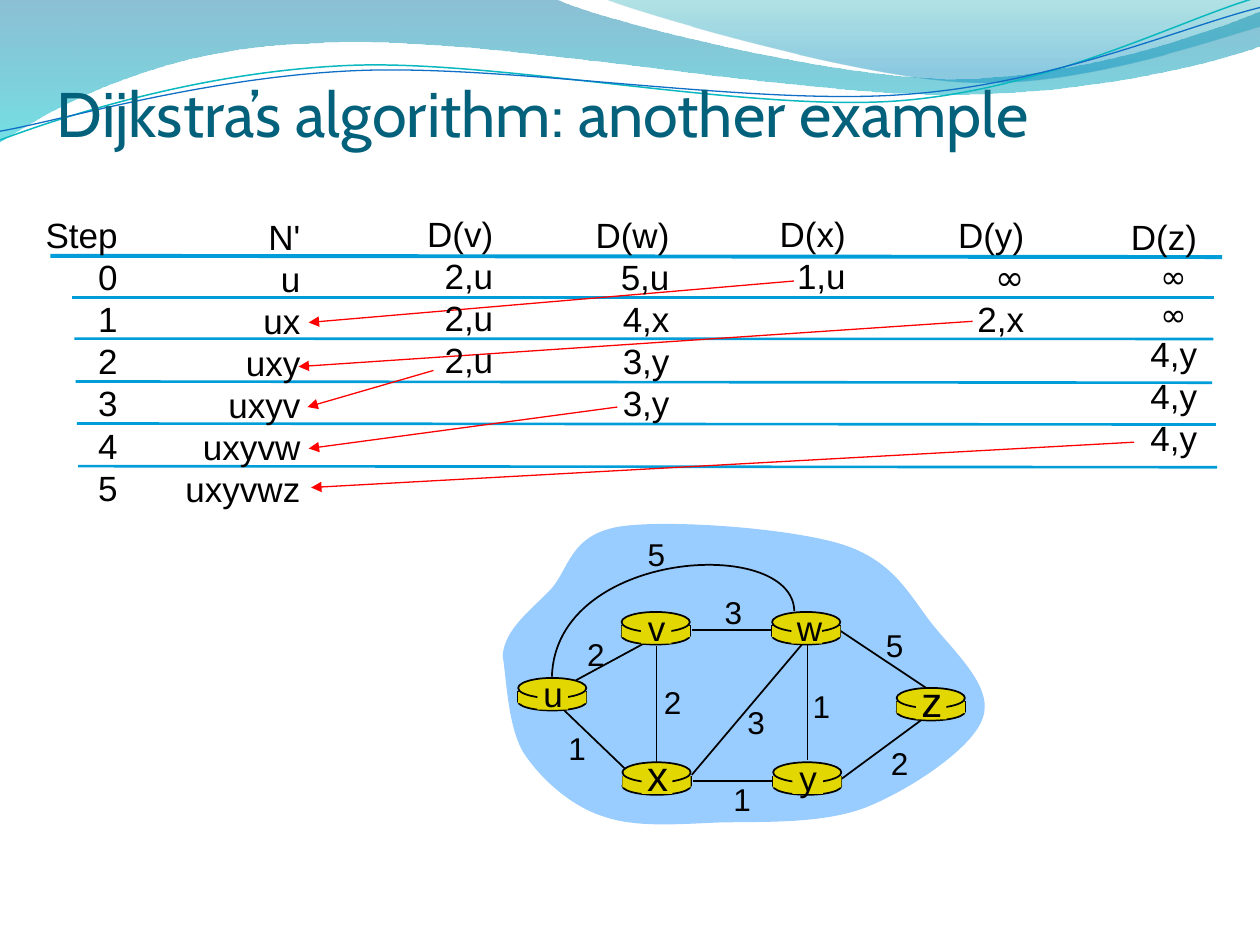
from pptx import Presentation
from pptx.dml.color import RGBColor
from pptx.enum.shapes import MSO_CONNECTOR as Link, MSO_SHAPE as Kind
from pptx.enum.text import MSO_ANCHOR as Anchor, MSO_AUTO_SIZE as Fit, PP_ALIGN as Align
from pptx.oxml.ns import qn
from pptx.util import Pt
from lxml.etree import SubElement

hue = RGBColor.from_string


def write(box, text, size=20, face="Arial", tint="000000", align=Align.LEFT, marks={}):
    frame = box.text_frame
    frame.text = text
    for row, para in enumerate(frame.paragraphs):
        high = marks.get(row, size)
        para.alignment = align
        para.line_spacing = Pt(1.2 * high)
        font = para.runs[0].font
        font.size = Pt(high)
        font.name = "Comic Neue" if row in marks else face
        font.color.rgb = hue(tint)


def trace(start, steps, close=False):
    pairs = [list(zip(step[::2], step[1::2])) for step in steps]
    pen = slide.shapes.build_freeform(Pt(start[0]), Pt(start[1]), scale=1.0)
    pen.add_line_segments([(Pt(x), Pt(y)) for dots in pairs for x, y in dots], close=close)
    form = pen.convert_to_shape()
    route = form._element.find(".//" + qn("a:path"))
    for node in list(route):
        route.remove(node)
    for verb, dots in [("moveTo", [start])] + [
            ("cubicBezTo" if len(dots) == 3 else "lnTo", dots) for dots in pairs]:
        move = SubElement(route, qn("a:" + verb))
        for x, y in dots:
            dot = SubElement(move, qn("a:pt"))
            dot.set("x", str(Pt(x) - form.left))
            dot.set("y", str(Pt(y) - form.top))
    if close:
        SubElement(route, qn("a:close"))
    form.shadow.inherit = False
    (form.line.fill if close else form.fill).background()
    return form


deck = Presentation()
deck.slide_width, deck.slide_height = Pt(720), Pt(540)
slide = deck.slides.add_slide(deck.slide_layouts[5])
shapes = slide.shapes

waves = [
    ((-0.4, 0), [(317, -0.7), (343, 12, 478, 45, 546, 45), (614, 45, 690, 19, 720, 6.5),
                 (720.7, 26), (708, 32, 626, 55, 537, 54), (447, 54, 275, 20, 185, 24.5),
                 (93, 26, 33, 60, -0.7, 81.4)],
     [(0, "0074A1", 45), (1, "00C6CF", 55)]),
    ((344.9, -0.7), [(366.5, 8, 491, 44.6, 553.7, 46.8), (616.3, 49.7, 692, 23, 720, 15),
                     (720, 0)],
     [(0, "00A1A9", 30), (0.8, "008BBF", 45)]),
]
for start, steps, stops in waves:
    wave = trace(start, steps, close=True)
    wave.fill.gradient()
    wave.fill.gradient_angle = 270
    for stop, (place, tint, _) in zip(wave.fill.gradient_stops, stops):
        stop.position = place
        stop.color.rgb = hue(tint)
    tints = wave.fill._xPr.iter(qn("a:srgbClr"))
    for node, (_, _, alpha) in zip(tints, stops):
        SubElement(node, qn("a:alpha")).set("val", str(alpha * 1000))

blob = trace((287.3, 375), [
    (288, 360, 303, 349, 314.6, 337), (325.5, 325, 325.5, 306, 353.5, 301),
    (381, 296.6, 451, 301.7, 481, 311), (511, 320.4, 520, 340.6, 533, 357),
    (546.5, 373.7, 568, 393, 561.6, 410.4), (555.8, 427.7, 520, 451.4, 494.6, 461.5),
    (469.4, 471, 436.3, 469.4, 411, 470), (386.6, 471, 363.6, 473, 345, 466.6),
    (326.9, 461, 309.6, 445.7, 299.5, 430.6), (290, 415.4, 289.4, 386.6, 287.3, 375)],
    close=True)
blob.fill.solid()
blob.fill.fore_color.rgb = hue("99CCFF")

curves = [
    ((-1.4, 63.1), [(33.8, 51.7, 114.1, 29.4, 199.8, 29.9), (284.9, 30.3, 425.8, 67.3, 512.4, 64.9),
                    (599, 62.4, 676.5, 25.7, 720.2, 15.5)], "0AB8BF", 0.85, 357.3),
    ((-1.1, 58), [(32.9, 53.8, 118.3, 32.5, 204.1, 33), (290.6, 33.4, 428.9, 63.8, 515.5, 61.4),
                  (601.3, 59.6, 677.1, 30, 721.4, 21.3)], "0F6FC6", 0.75, 357.3),
    ((453.9, 349.2), [(453, 306, 317.5, 313.9, 315.4, 386.6)], "000000", 1, 0),
]
for start, steps, tint, thick, turn in curves:
    curve = trace(start, steps)
    curve.line.color.rgb = hue(tint)
    curve.line.width = Pt(thick)
    curve.rotation = turn

title = shapes.title
shapes._spTree.append(title._element)
title.left, title.top, title.width, title.height = Pt(32.4), Pt(10.4), Pt(658.8), Pt(75.6)
frame = title.text_frame
frame.margin_left = frame.margin_right = frame.margin_bottom = 0
frame.margin_top = Pt(3.6)
frame.vertical_anchor = Anchor.BOTTOM
frame.auto_size = Fit.NONE
write(title, "Dijkstra’s algorithm: another example", size=36, face="Cabin", tint="04617B")
frame.paragraphs[0].runs[0].font._rPr.set("kern", "0")

nodes = [("u", 296.1, 387.4, 20), ("x", 355.7, 435.6, 24), ("v", 355.2, 349.7, 20),
         ("w", 441.2, 349.7, 20), ("y", 441.8, 435.6, 20), ("z", 512.4, 393.1, 24)]
rules = [(41, 170, 694, 170), (42.5, 193.5, 693.4, 193.7), (43.2, 218, 692.6, 218.7),
         (43.9, 242, 694.8, 242.6), (44.6, 266.4, 695.5, 267)]
edges = [
    (329, 388.8, 371.5, 365.8), (461.5, 368.6, 461.5, 434.2), (375.1, 369.4, 375.1, 437),
    (395.3, 442.8, 458.6, 367.9), (481, 445, 527, 411.1), (396, 446.4, 442.1, 446.4),
    (357.1, 439.2, 322.6, 406.1), (395.3, 360, 441.4, 360), (479.5, 360, 529.2, 393.1)]
sides = [(x + dx, y + 7.7, x + dx, y + 13.7) for _, x, y, _ in nodes for dx in (0, 39)]
picks = [(453.6, 160.6, 176.4, 184.3), (555.8, 183.6, 170.6, 209.5),
         (247.7, 211.7, 175.7, 232.6), (352.8, 232.6, 176.4, 256.3),
         (648, 252.7, 177.8, 278.6)]
for lines, tint, thick in [([(28.8, 146.2, 698.4, 146.9)], "009DD9", 2.25),
                           (rules, "009DD9", 1.5), (edges + sides, "000000", 1),
                           (picks, "FF0000", 0.75)]:
    for ends in lines:
        link = shapes.add_connector(Link.STRAIGHT, *map(Pt, ends))
        link.line.color.rgb = hue(tint)
        link.line.width = Pt(thick)
        if lines is picks:
            SubElement(link.line._get_or_add_ln(), qn("a:tailEnd")).set("type", "triangle")
        SubElement(link._element.spPr, qn("a:effectLst"))

parts = [(Kind.OVAL, 0, 8.6, 39, 10), (Kind.RECTANGLE, 0, 7.9, 39, 6.5),
         (Kind.OVAL, 0, 0, 39, 11.5), (Kind.RECTANGLE, 11, 1.6, 17.5, 16.5)]
for _, x, y, _ in nodes:
    for kind, dx, dy, wide, high in parts:
        part = shapes.add_shape(kind, Pt(x + dx), Pt(y + dy), Pt(wide), Pt(high))
        part.shadow.inherit = False
        part.fill.solid()
        part.fill.fore_color.rgb = hue("E2D700")
        if kind == Kind.OVAL:
            part.line.color.rgb = hue("000000")
            part.line.width = Pt(1)
        else:
            part.line.fill.background()

table = [
    ("Step|0|1|2|3|4|5", 19, 118.7, 55.4, {}),
    ("N'|u|ux|uxy|uxyv|uxyvw|uxyvwz", 98.8, 119.5, 80, {}),
    ("D(v)|2,u|2,u|2,u", 236.4, 118.1, 52.6, {}),
    ("D(w)|5,u|4,x|3,y|3,y", 332.8, 118.4, 56.9, {}),
    ("D(x)|1,u", 437.8, 118.1, 52.6, {}),
    ("D(y)|∞|2,x", 539.8, 118.4, 52.6, {1: 20}),
    ("D(z)|∞ |∞ |4,y|4,y|4,y", 638.6, 119.4, 52.6, {1: 18, 2: 18}),
]
costs = [("2", 328.3, 359.3), ("2", 372.2, 386.6), ("1", 317.5, 413.3), ("3", 419.8, 398.2),
         ("1", 411.8, 442), ("1", 457.2, 388.8), ("2", 501.8, 421.9), ("5", 499, 354.2),
         ("3", 406.8, 335.5), ("5", 362.9, 302.4)]
texts = [(cells.replace("|", "\n"), x, y, wide, 20, Align.RIGHT, marks)
         for cells, x, y, wide, marks in table]
texts += [(name, x + 7, y + 13.2 - size, 26, size, Align.CENTER, {}) for name, x, y, size in nodes]
texts += [(cost, x, y, 24.5, 18, Align.CENTER, {}) for cost, x, y in costs]
for text, x, y, wide, size, align, marks in texts:
    high = 7.2 + 1.2 * sum(marks.get(n, size) for n in range(len(text.split("\n"))))
    box = shapes.add_textbox(Pt(x), Pt(y), Pt(wide), Pt(high))
    box.text_frame.word_wrap = False
    write(box, text, size=size, align=align, marks=marks)

deck.save("out.pptx")
